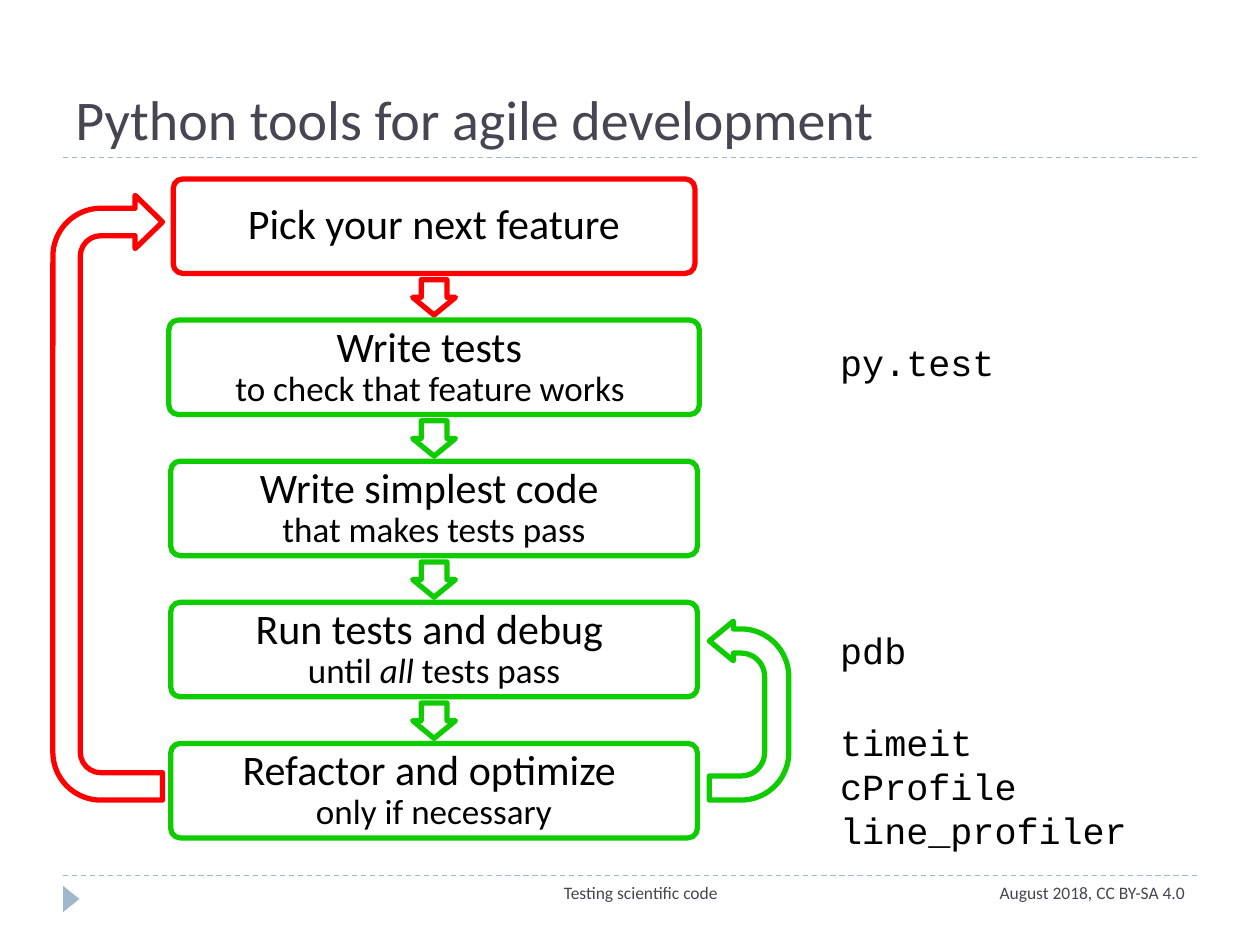
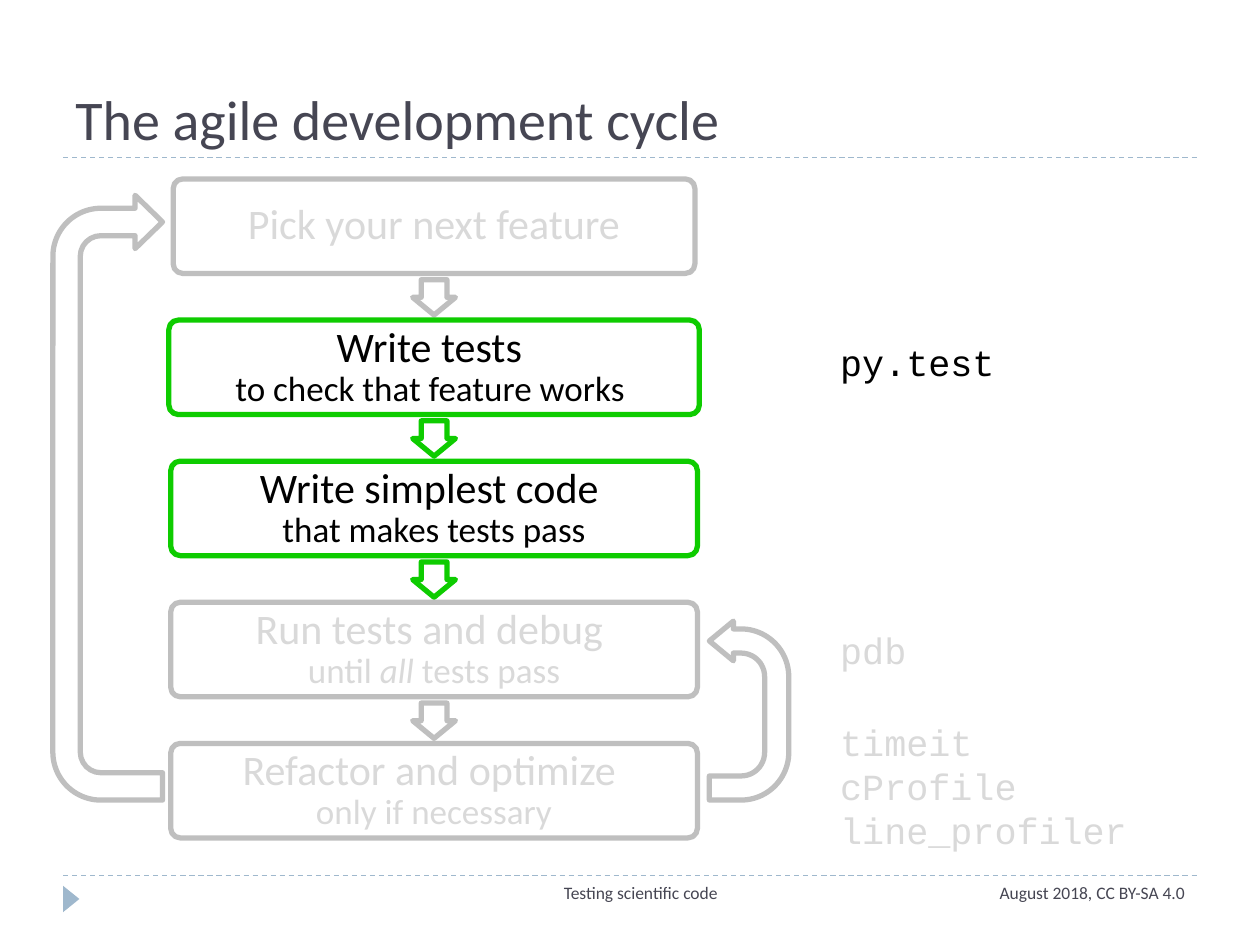
import pptx
import pptx.util
import pptx.dml.color
import pptx.enum.dml
import pptx.enum.shapes
import pptx.enum.text
import pptx.oxml

PX = 9144  # 100 px to the inch
SHAPE = pptx.enum.shapes.MSO_SHAPE
ALIGN = pptx.enum.text.PP_ALIGN
ANCHOR = pptx.enum.text.MSO_ANCHOR
SANS, MONO = "Calibri", "Courier New"

INK = {
    "title": "464653", "rule": "9FB8CD", "paper": "FFFFFF", "text": "000000",
    "red": "FF0000", "green": "0ECC00", "faint": "D9D9D9", "grey": "BFBFBF",
}

# Each step: box width, colour, lines made of (text, italic) runs
STEPS = [
    (414, "red", [[("Pick your next feature", False)]]),
    (421, "green", [[("Write tests ", False)],
                    [("to check that feature works ", False)]]),
    (418, "green", [[("Write simplest code ", False)],
                    [("that makes tests pass", False)]]),
    (418, "green", [[("Run tests and debug ", False)],
                    [("until ", False), ("all", True), (" tests pass", False)]]),
    (418, "green", [[("Refactor and optimize ", False)],
                    [("only if necessary", False)]]),
]
# Each tool box: step, top, width, height, names
TOOLS = [
    (1, 123, 205, 45, ["py.test"]),
    (3, 351, 245, 45, ["pdb"]),
    (4, 424, 299, 116, ["timeit", "cProfile", "line_profiler"]),
]
SLIDES = [
    ("Python tools for agile development", {0, 1, 2, 3, 4}),
    ("The agile development cycle", {1, 2}),
]


def px(*sizes):
    return [pptx.util.Emu(round(size * PX)) for size in sizes]


def tint(name):
    return pptx.dml.color.RGBColor.from_string(INK[name])


def add_run(para, text, size, ink, face=SANS, slant=False):
    run = para.add_run()
    run.text = text
    font = run.font
    font.name, font.size, font.italic = face, pptx.util.Pt(size), slant
    font.color.rgb = tint(ink)


def add_text(slide, box, lines, size, ink, face=SANS,
             align=ALIGN.LEFT, anchor=ANCHOR.TOP):
    frame = slide.shapes.add_textbox(*px(*box)).text_frame
    frame.word_wrap = True
    frame.vertical_anchor = anchor
    for i, line in enumerate(lines):
        para = frame.add_paragraph() if i else frame.paragraphs[0]
        para.alignment = align
        add_run(para, line, size, ink, face)


def add_form(slide, kind, box, fill, edge=None, adjust=(), turn=0):
    """Place a shape so that, once turned, it fills the box."""
    x, y, w, h = box
    if turn in (90, 270):
        x, y, w, h = x + (w - h) / 2, y + (h - w) / 2, h, w
    form = slide.shapes.add_shape(kind, *px(x, y, w, h))
    form.shadow.inherit = False
    form.rotation = turn
    for i, value in enumerate(adjust):
        form.adjustments[i] = value
    form.fill.solid()
    form.fill.fore_color.rgb = tint(fill)
    if edge:
        form.line.color.rgb = tint(edge)
        form.line.width = pptx.util.Pt(3)
    else:
        form.line.fill.background()
    return form


def add_rule(slide, x, y, w):
    rule = slide.shapes.add_connector(
        pptx.enum.shapes.MSO_CONNECTOR.STRAIGHT, *px(x, y, x + w, y))
    rule.line.color.rgb = tint("rule")
    rule.line.width = pptx.util.Pt(0.75)
    rule.line.dash_style = pptx.enum.dml.MSO_LINE.DASH
    rule._element.spPr.append(pptx.oxml.parse_xml(
        '<a:effectLst xmlns:a='
        '"http://schemas.openxmlformats.org/drawingml/2006/main"/>'))


def draw_head(slide, box, title):
    x, y, w, h = box
    add_rule(slide, x, y + h, w)
    add_text(slide, box, [title], 32, "title", anchor=ANCHOR.BOTTOM)


def draw_foot(slide, box):
    x, y, w, h = box
    add_rule(slide, x, y, w)
    add_form(slide, SHAPE.ISOSCELES_TRIANGLE, (x, y + 8, 13, 21), "rule", turn=90)
    add_text(slide, (x + w - 250, y, 250, h), ["August 2018, CC BY-SA 4.0"],
             10, "title", align=ALIGN.RIGHT)
    add_text(slide, (x + 267, y, 383, h), ["Testing scientific code"],
             10, "title", align=ALIGN.CENTER)


def draw_step(slide, box, lines, ink, edge):
    form = add_form(slide, SHAPE.ROUNDED_RECTANGLE, box, "paper", edge, [0.1])
    frame = form.text_frame
    frame.word_wrap = True
    frame.vertical_anchor = ANCHOR.MIDDLE
    frame.margin_top, frame.margin_bottom = px(2, 2)
    para = frame.paragraphs[0]
    para.alignment, para.line_spacing = ALIGN.CENTER, 0.9
    for i, line in enumerate(lines):
        if i:
            para.add_line_break()
        for text, slant in line:
            add_run(para, text, 20 if i else 24, ink, slant=slant)


def draw_cycle(slide, box, live):
    x, y, w, h = box
    mid, tall = x + w / 2, 75
    pitch = (h - tall) / (len(STEPS) - 1)

    # Steps, each with an arrow to the next
    for i, (wide, hue, lines) in enumerate(STEPS):
        top = y + i * pitch
        ink, edge = ("text", hue) if i in live else ("faint", "grey")
        draw_step(slide, (mid - wide / 2, top, wide, tall), lines, ink, edge)
        if i < len(STEPS) - 1:
            add_form(slide, SHAPE.RIGHT_ARROW, (mid - 17, top + tall + 5, 34, 28),
                     "paper", edge, [0.6, 0.5], turn=90)

    # Loops back to the first step and to the debugging step
    add_form(slide, SHAPE.U_TURN_ARROW, (x - 92, y + 13, 87, 480), "paper",
             "red" if 0 in live else "grey",
             [0.25, 0.243, 0.25, 0.438, 1], turn=270)
    loop = add_form(slide, SHAPE.U_TURN_ARROW, (x + w + 8, y + 351, 63, 142), "paper",
                    "green" if 3 in live else "grey",
                    [0.304, 0.25, 0.302, 0.601, 1], turn=270)
    loop._element.spPr.xfrm.set("flipV", "1")


def draw_tools(slide, box, live):
    x, y, _, _ = box
    for step, top, w, h, names in TOOLS:
        add_text(slide, (x, y + top, w, h), names, 21,
                 "text" if step in live else "faint", MONO)


def main():
    deck = pptx.Presentation()
    deck.slide_width, deck.slide_height = px(1000, 750)
    for title, live in SLIDES:
        slide = deck.slides.add_slide(deck.slide_layouts[6])
        draw_head(slide, (50, 25, 900, 100), title)
        draw_tools(slide, (657, 142, 299, 540), live)
        draw_cycle(slide, (134, 142, 421, 523), live)
        draw_foot(slide, (50, 695, 900, 40))
    deck.save("out.pptx")


if __name__ == "__main__":
    main()
